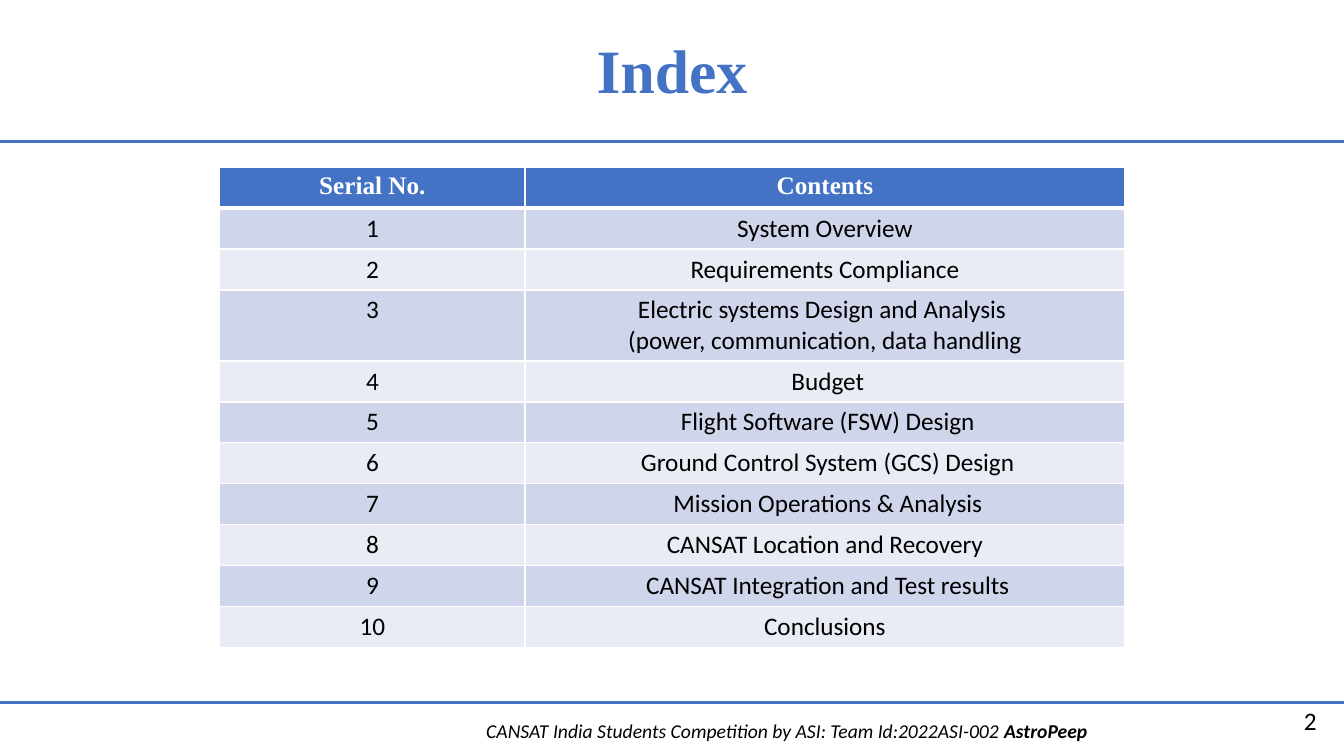
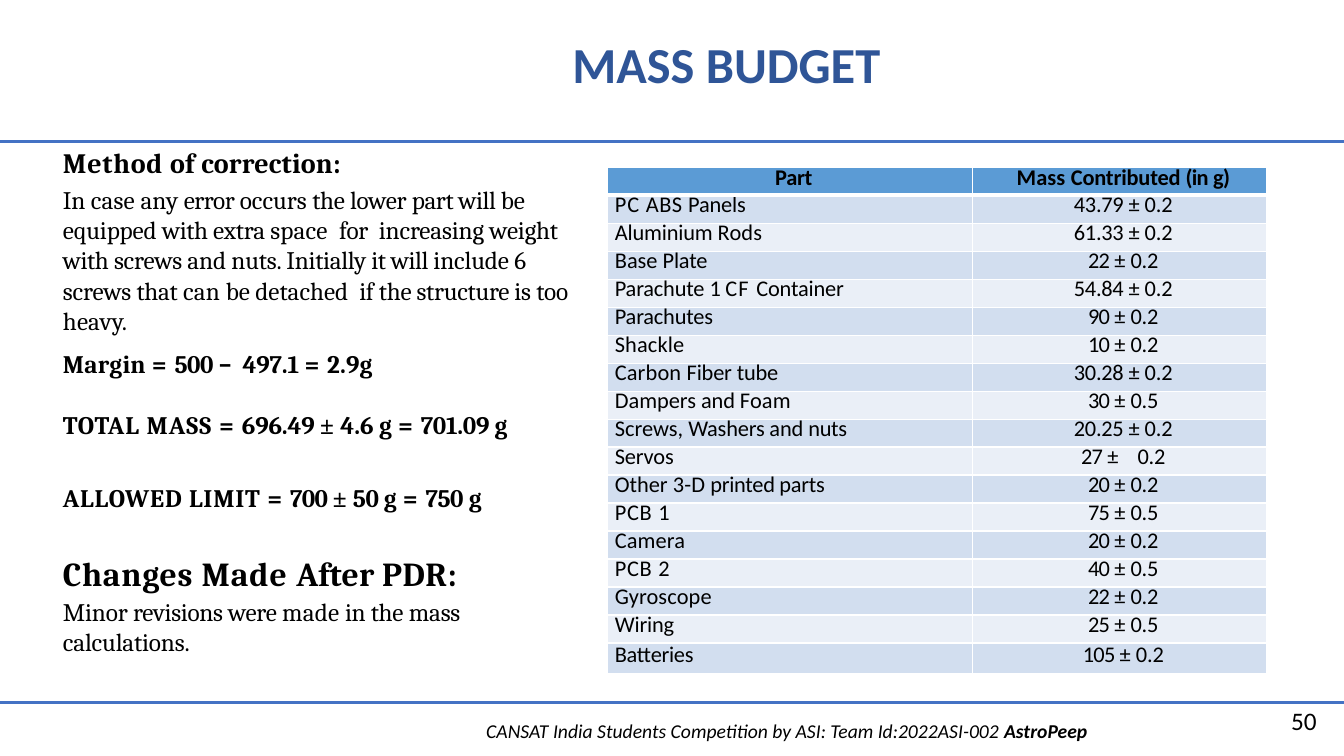
from dataclasses import dataclass
from typing import NamedTuple, Optional, Sequence

from lxml import etree
from pptx import Presentation
from pptx.dml.color import RGBColor
from pptx.enum.shapes import MSO_CONNECTOR
from pptx.enum.text import MSO_ANCHOR, PP_ALIGN
from pptx.oxml.ns import qn
from pptx.util import Pt

# Shared look
BLUE = RGBColor(0x44, 0x72, 0xC4)
DEEP_BLUE = RGBColor(0x2F, 0x55, 0x97)
SKY_BLUE = RGBColor(0x5B, 0x9B, 0xD5)
INDEX_BANDS = (RGBColor(0xCF, 0xD5, 0xEA), RGBColor(0xE9, 0xEB, 0xF5))
MASS_BANDS = (RGBColor(0xD2, 0xDE, 0xEF), RGBColor(0xEA, 0xEF, 0xF7))
BLACK = RGBColor(0, 0, 0)
WHITE = RGBColor(0xFF, 0xFF, 0xFF)

CALIBRI, CAMBRIA, KARLA, TIMES = "Calibri", "Cambria", "Karla", "Times New Roman"
LEFT, CENTER, RIGHT = PP_ALIGN.LEFT, PP_ALIGN.CENTER, PP_ALIGN.RIGHT
TOP, MIDDLE = MSO_ANCHOR.TOP, MSO_ANCHOR.MIDDLE
STRAIGHT = MSO_CONNECTOR.STRAIGHT

SLIDE_W, SLIDE_H = 960, 540
RULES_Y = (501.8, 100.8)
BLANK_LAYOUT = 6


class Span(NamedTuple):
    text: str
    spacing: float = 0
    font: Optional[str] = None
    bold: Optional[bool] = None


@dataclass
class Para:
    spans: Sequence[Span]
    size: float = 18
    font: str = CALIBRI
    color: RGBColor = BLACK
    bold: bool = False
    italic: bool = False
    align: PP_ALIGN = LEFT
    before: float = 0
    line: Optional[float] = None
    tab: Optional[float] = None


class Box(NamedTuple):
    left: float
    top: float
    width: float
    height: float


class Insets(NamedTuple):
    left: float = 7.2
    top: float = 3.6
    right: float = 7.2
    bottom: float = 3.6


@dataclass
class Grid:
    box: Box
    columns: Sequence[float]
    heights: Sequence[float]
    header_fill: RGBColor
    bands: Sequence[RGBColor]
    insets: Insets = Insets()
    anchor: MSO_ANCHOR = TOP


# Text helpers
def write(frame, paras: Sequence[Para]) -> None:
    for number, para in enumerate(paras):
        paragraph = frame.add_paragraph() if number else frame.paragraphs[0]
        paragraph.alignment = para.align
        if para.before:
            paragraph.space_before = Pt(para.before)
        if para.line:
            paragraph.line_spacing = para.line
        if para.tab:
            tabs = etree.SubElement(paragraph._p.get_or_add_pPr(), qn("a:tabLst"))
            etree.SubElement(tabs, qn("a:tab"), pos=str(Pt(para.tab)), algn="l")
        for span in para.spans:
            run = paragraph.add_run()
            run.text = span.text
            font = run.font
            font.size = Pt(para.size)
            font.name = span.font or para.font
            font.bold = para.bold if span.bold is None else span.bold
            font.italic = para.italic
            font.color.rgb = para.color
            if span.spacing:
                run._r.get_or_add_rPr().set("spc", str(round(span.spacing * 100)))


def set_insets(holder, insets: Insets) -> None:
    holder.margin_left, holder.margin_top = Pt(insets.left), Pt(insets.top)
    holder.margin_right, holder.margin_bottom = Pt(insets.right), Pt(insets.bottom)


def add_text(slide, box: Box, paras: Sequence[Para],
             insets: Insets = Insets(), anchor: MSO_ANCHOR = TOP) -> None:
    frame = slide.shapes.add_textbox(*map(Pt, box)).text_frame
    frame.word_wrap = True
    frame.vertical_anchor = anchor
    set_insets(frame, insets)
    write(frame, paras)


# Table helpers
def add_borders(cell, row: int) -> None:
    widths = {"L": 1, "R": 1, "T": 3 if row == 1 else 1, "B": 3 if row == 0 else 1}
    properties = cell._tc.get_or_add_tcPr()
    for side, width in widths.items():
        border = etree.SubElement(properties, qn(f"a:ln{side}"), w=str(Pt(width)))
        fill = etree.SubElement(border, qn("a:solidFill"))
        etree.SubElement(fill, qn("a:srgbClr"), val=str(WHITE))


def add_grid(slide, grid: Grid, rows: Sequence[Sequence[Sequence[Para]]]) -> None:
    table = slide.shapes.add_table(len(rows), len(grid.columns), *map(Pt, grid.box)).table
    for column, width in zip(table.columns, grid.columns):
        column.width = Pt(width)
    for r, (row, height) in enumerate(zip(rows, grid.heights)):
        table.rows[r].height = Pt(height)
        for c, paras in enumerate(row):
            cell = table.cell(r, c)
            add_borders(cell, r)
            cell.fill.solid()
            cell.fill.fore_color.rgb = grid.bands[(r - 1) % 2] if r else grid.header_fill
            cell.vertical_anchor = grid.anchor
            set_insets(cell, grid.insets)
            write(cell.text_frame, paras)


# Parts on every slide
def add_frame(prs, page: int):
    slide = prs.slides.add_slide(prs.slide_layouts[BLANK_LAYOUT])
    slide.background.fill.solid()
    slide.background.fill.fore_color.rgb = WHITE
    credit = (Span("CANSAT India Students Competition by ASI: Team Id:2022ASI-002 "),
              Span("AstroPeep", bold=True))
    add_text(slide, Box(337, 509.8, 450, 24.5),
             [Para(credit, 14, italic=True, align=CENTER)])
    for y in RULES_Y:
        rule = slide.shapes.add_connector(STRAIGHT, 0, Pt(y), Pt(SLIDE_W), Pt(y))
        rule.line.color.rgb = BLUE
        rule.line.width = Pt(2)
        etree.SubElement(rule._element.spPr, qn("a:effectLst"))
    add_text(slide, Box(731.5, 500.4, 216, 28.8), [Para([Span(str(page))], align=RIGHT)])
    return slide


def add_title(slide, box: Box, text: str, size: float, font: str, color: RGBColor) -> None:
    title = Para([Span(text)], size, font, color, bold=True, align=CENTER, line=0.9)
    add_text(slide, box, [title], anchor=MIDDLE)


# Index slide
CONTENTS = (
    ("System Overview",),
    ("Requirements Compliance",),
    ("Electric systems Design and Analysis ", "(power, communication, data handling"),
    (" Budget",),
    (" Flight Software (FSW) Design",),
    (" Ground Control System (GCS) Design",),
    (" Mission Operations & Analysis",),
    ("CANSAT Location and Recovery",),
    (" CANSAT Integration and Test results",),
    ("Conclusions",),
)


def build_index(prs) -> None:
    slide = add_frame(prs, 2)
    add_title(slide, Box(384, 17.3, 192, 70.6), "Index", 44, TIMES, BLUE)
    rows = [[[Para([Span(head)], font=TIMES, color=WHITE, bold=True, align=CENTER)]
             for head in ("Serial No.", "Contents")]]
    for number, lines in enumerate(CONTENTS, 1):
        rows.append([[Para([Span(line)], align=CENTER) for line in cell]
                     for cell in ((str(number),), lines)])
    heights = [29.2] + [29.2 if len(lines) == 1 else 50.8 for lines in CONTENTS]
    add_grid(slide, Grid(Box(157, 119.5, 646.5, sum(heights)), (218, 428.5), heights,
                         BLUE, INDEX_BANDS), rows)


# Mass budget slide
class Part(NamedTuple):
    name: Sequence[Span]
    mass: str
    tolerance: str = "0.2"
    tab: Optional[float] = None


PARTS = (
    Part((Span("PC", 0.8), Span(" ABS ", 0.3), Span("Panels", -0.1)), "43.79"),
    Part((Span("Aluminium ", -0.1), Span("Rods", 0.1)), "61.33"),
    Part((Span("Base "), Span("Plate", -0.1)), "22"),
    Part((Span("Parachute ", -0.1), Span("1 ", -0.5), Span("CF ", 0.9),
          Span("Container", -0.1)), "54.84"),
    Part((Span("Parachutes", -0.1),), "90"),
    Part((Span("Shackle", 0.1),), "10"),
    Part((Span("Carbon ", 0.1), Span("Fiber ", -0.1), Span("tube", -0.2)), "30.28"),
    Part((Span("Dampers "), Span("and ", -0.1), Span("Foam", 0.1)), "30", "0.5"),
    Part((Span("Screws, "), Span("Washers and ", -0.1), Span("nuts", -0.2)), "20.25"),
    Part((Span("Servos", -0.1),), "27", tab=40.3),
    Part((Span("Other "), Span("3-D ", 0.1), Span("printed parts", -0.2)), "20"),
    Part((Span("PCB ", 0.5), Span("1", -0.5)), "75", "0.5"),
    Part((Span("Camera", 0.1),), "20"),
    Part((Span("PCB ", 0.5), Span("2", -0.5)), "40", "0.5"),
    Part((Span("Gyroscope", 0.1),), "22"),
    Part((Span("Wiring", -0.1),), "25", "0.5"),
    Part((Span("Batteries", -0.2),), "105"),
)
MASS_HEADS = (
    (Span("Part", -0.2),),
    (Span("Mass ", 0.1), Span("Contributed ", -0.1), Span("(in ", -0.5), Span("g)", -0.3)),
)
CORRECTION = (
    Para((Span("Method ", 0.5), Span("of ", 0.2), Span("correction:", 0.1)),
         20, CAMBRIA, bold=True),
    Para((Span("In ", -0.1), Span("case ", 0.1), Span("any ", -0.1), Span("error ", -0.3),
          Span("occurs "), Span("the lower ", -0.2), Span("part will ", -0.3),
          Span("be equipped ", -0.1), Span("with ", -0.3), Span("extra ", -0.1),
          Span("space  ", 0.1), Span("for  ", -0.2), Span("increasing weight ", -0.1),
          Span("with ", -0.3), Span("screws and nuts. ", -0.1), Span("Initially ", -0.2),
          Span("it will ", -0.3), Span("include ", -0.1), Span("6 ", -0.5),
          Span("screws ", -0.1), Span("that ", -0.2), Span("can ", 0.1), Span("be ", -0.1),
          Span("detached  "), Span("if ", -0.3), Span("the structure is ", -0.2),
          Span("too ", -0.1), Span("heavy.", 0.1)), font=CAMBRIA, before=3.9),
    Para((Span("Margin ", 0.2), Span("= ", 0.8), Span("500 ", -0.4), Span("– ", 1.6, KARLA),
          Span("497.1 ", -0.1), Span("= ", 0.8), Span("2.9g", 0.1)),
         font=CAMBRIA, bold=True, before=9.1),
)
TOTALS = (
    Para((Span("TOTAL ", 0.7), Span("MASS = ", 0.8), Span("696.49 ", -0.1),
          Span("± ", 0, TIMES), Span("4.6 "), Span("g ", 0.2), Span("= ", 0.8),
          Span("701.09 ", -0.2), Span("g", 0.2)), font=CAMBRIA, bold=True, line=2.0),
    Para((Span("ALLOWED LIMIT ", 0.6), Span("= ", 0.8), Span("700 ", -0.5),
          Span("± ", 0, TIMES), Span("50 ", -0.4), Span("g ", 0.2), Span("= ", 0.8),
          Span("750 ", -0.3), Span("g", 0.2)),
         font=CAMBRIA, bold=True, before=9.2, line=2.0),
    Para((Span("Changes ", 0.5), Span("Made ", 0.7), Span("After ", 0.1), Span("PDR:", 0.4)),
         24, CAMBRIA, bold=True, line=2.0),
    Para((Span("Minor ", -0.1), Span("revisions were ", -0.2), Span("made ", 0.1),
          Span("in ", -0.3), Span("the ", -0.2), Span("mass calculations.", -0.1)),
         font=CAMBRIA, before=1.9),
)


def mass_cell(spans: Sequence[Span], align: PP_ALIGN, bold: bool = False,
              tab: Optional[float] = None) -> list[Para]:
    return [Para(spans, 16, bold=bold, align=align, line=Pt(13.9), tab=tab)]


def mass_spans(part: Part) -> tuple[Span, ...]:
    tightness = -0.2 if "." in part.mass else -0.5
    sign = "±\t" if part.tab else "± "
    return Span(f"{part.mass} ", tightness), Span(sign), Span(part.tolerance, -0.1)


def build_mass_budget(prs) -> None:
    slide = add_frame(prs, 50)
    add_text(slide, Box(44, 100.1, 378.7, 172), CORRECTION, Insets(1, 3.6, 0, 0))
    rows = [[mass_cell(head, CENTER, bold=True) for head in MASS_HEADS]]
    rows += [[mass_cell(part.name, LEFT), mass_cell(mass_spans(part), CENTER, tab=part.tab)]
             for part in PARTS]
    heights = [20] * len(PARTS) + [22]
    add_grid(slide, Grid(Box(434.2, 119.5, 470.8, sum(heights)), (260.6, 210.2), heights,
                         SKY_BLUE, MASS_BANDS, Insets(5, 0, 0, 0), MIDDLE), rows)
    add_text(slide, Box(44, 270, 342.7, 200.9), TOTALS, Insets(1, 0.7, 0, 0))
    add_title(slide, Box(368, 22.3, 301.7, 51.1), "MASS BUDGET", 36, CALIBRI, DEEP_BLUE)


def main() -> None:
    prs = Presentation()
    prs.slide_width, prs.slide_height = Pt(SLIDE_W), Pt(SLIDE_H)
    build_index(prs)
    build_mass_budget(prs)
    prs.save("out.pptx")


if __name__ == "__main__":
    main()
